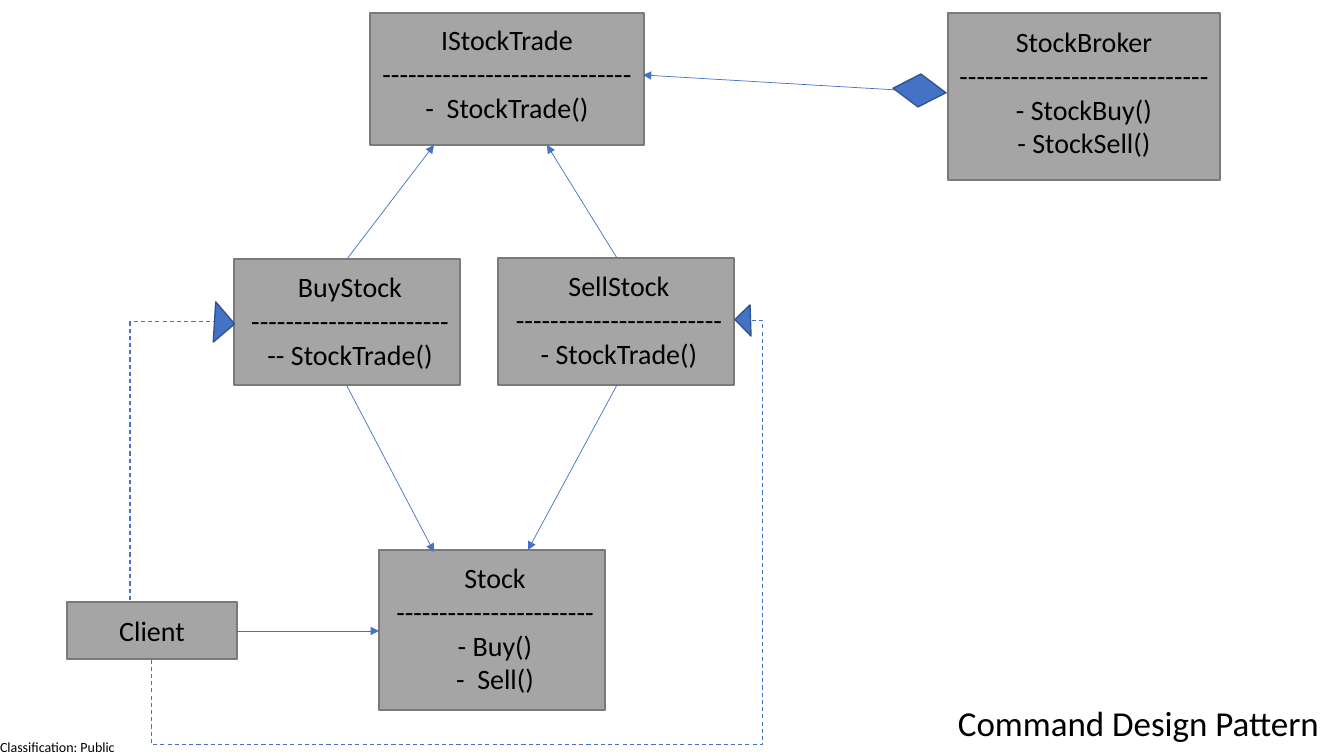
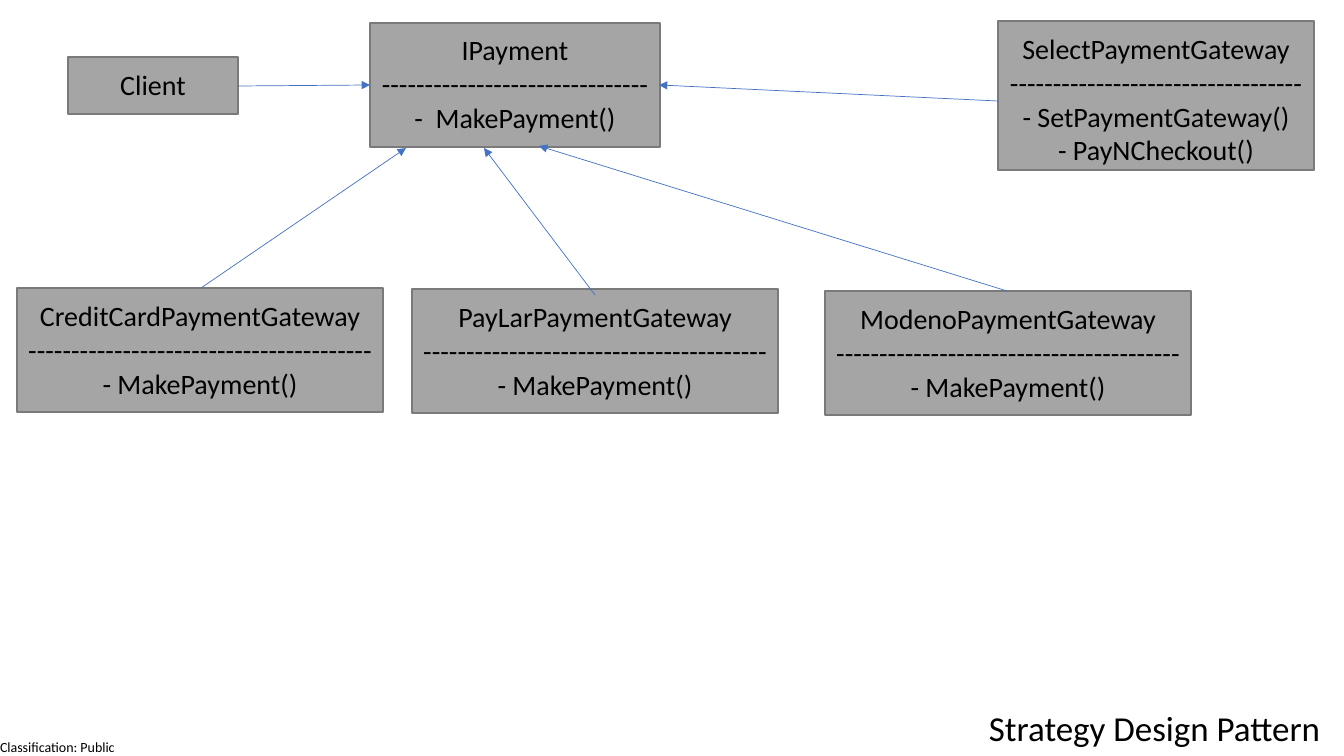
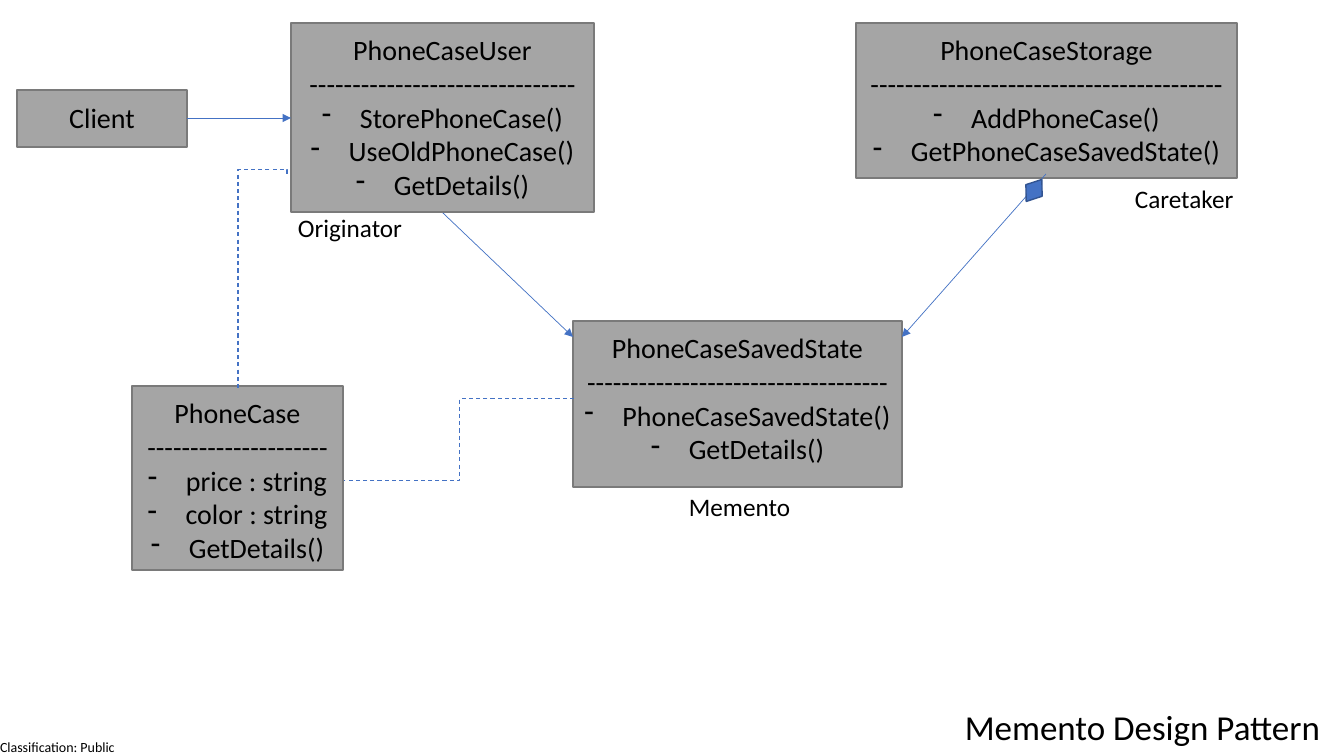
from pptx import Presentation
from pptx.dml.color import RGBColor
from pptx.enum.dml import MSO_LINE
from pptx.enum.shapes import MSO_CONNECTOR as Connector, MSO_SHAPE as Shape
from pptx.enum.text import PP_ALIGN as Align
from pptx.oxml.ns import qn
from pptx.util import Pt
from lxml.etree import SubElement

EMU_PER_PIXEL = 914400 / 100.8
SLIDE_WIDTH, SLIDE_HEIGHT = 1344, 756
FONT = "Calibri"
COLORS = {
    "text": "000000",
    "box": "A5A5A5",
    "box_line": "7A7A7A",
    "accent": "4472C4",
    "accent_line": "325491",
}
LINE_HEIGHT, TEXT_PADDING = 34, 10
BULLET_INDENT = 38


def px(pixels):
    """Turn pixels into EMU."""
    return round(pixels * EMU_PER_PIXEL)


def color(name):
    """Look up a named colour."""
    return RGBColor.from_string(COLORS[name])


def add_bullet(paragraph):
    """Give a paragraph a hanging dash bullet."""
    properties = paragraph._p.get_or_add_pPr()
    properties.set("marL", str(px(BULLET_INDENT)))
    properties.set("indent", str(-px(BULLET_INDENT)))
    SubElement(properties, qn("a:buChar")).set("char", "-")


def add_text(slide, frame, lines, size=20, align=Align.LEFT, inset=None, bullets_from=None):
    """Add a text box with one paragraph per line."""
    text_frame = slide.shapes.add_textbox(*map(px, frame)).text_frame
    text_frame.word_wrap = True
    if inset is not None:
        text_frame.margin_left = text_frame.margin_right = px(inset)
        text_frame.margin_top = text_frame.margin_bottom = px(inset)
    for index, line in enumerate(lines):
        paragraph = text_frame.add_paragraph() if index else text_frame.paragraphs[0]
        paragraph.alignment = align
        if bullets_from is not None and index >= bullets_from:
            add_bullet(paragraph)
        run = paragraph.add_run()
        run.text = line
        run.font.name = FONT
        run.font.size = Pt(size)
        run.font.color.rgb = color("text")


def add_figure(slide, kind, frame, fill="accent", line="accent_line", rotation=0):
    """Add a filled preset shape."""
    shape = slide.shapes.add_shape(kind, *map(px, frame))
    shape.shadow.inherit = False
    shape.fill.solid()
    shape.fill.fore_color.rgb = color(fill)
    shape.line.color.rgb = color(line)
    shape.line.width = Pt(1)
    shape.rotation = rotation


def add_box(slide, frame, name, dashes=0, members=(), bullets=False, shift=(0, 6)):
    """Add a class box: name, dashed rule and members."""
    left, top, width, height = frame
    add_figure(slide, Shape.RECTANGLE, frame, fill="box", line="box_line")
    lines = [name, "-" * dashes, *members] if dashes else [name]
    text_height = len(lines) * LINE_HEIGHT + TEXT_PADDING
    add_text(slide, (left + shift[0], top + shift[1], width, text_height), lines,
             align=Align.CENTER, bullets_from=2 if bullets else None)


def add_line(slide, kind, start, end, width):
    """Add a connector without shadow."""
    connector = slide.shapes.add_connector(kind, *map(px, start + end))
    connector.line.color.rgb = color("accent")
    connector.line.width = Pt(width)
    SubElement(connector._element.spPr, qn("a:effectLst"))
    return connector


def add_arrow(slide, start, end):
    """Add a straight arrow pointing at its end."""
    connector = add_line(slide, Connector.STRAIGHT, start, end, 0.5)
    SubElement(connector.line._get_or_add_ln(), qn("a:tailEnd")).set("type", "triangle")


def add_elbow(slide, frame, preset, rotation, flips="", adjustments=()):
    """Add a dashed bent connector from its unrotated frame."""
    left, top, width, height = frame
    connector = add_line(slide, Connector.ELBOW, (left, top),
                         (left + width, top + height), 0.75)
    connector.line.dash_style = MSO_LINE.DASH
    properties = connector._element.spPr
    transform = properties.find(qn("a:xfrm"))
    transform.set("rot", str(rotation * 60000))
    for axis in flips:
        transform.set("flip" + axis, "1")
    geometry = properties.find(qn("a:prstGeom"))
    geometry.set("prst", preset)
    guides = geometry.find(qn("a:avLst"))
    for number, value in enumerate(adjustments, 1):
        guide = SubElement(guides, qn("a:gd"))
        guide.set("name", f"adj{number}")
        guide.set("fmla", f"val {value}")


def add_pattern_slide(presentation, title, left, top):
    """Add a blank slide with the classification footer and pattern title."""
    slide = presentation.slides.add_slide(presentation.slide_layouts[6])
    add_text(slide, (0, 739, 118, 17), ["Classification: Public"], size=10, inset=0)
    add_text(slide, (left, top, SLIDE_WIDTH - left, 52), [title], size=25)
    return slide


def build_command(presentation):
    """Build the command pattern slide."""
    slide = add_pattern_slide(presentation, "Command Design Pattern", 948, 697)
    add_box(slide, (370, 13, 274, 132), "IStockTrade", 29, ["-  StockTrade()"], shift=(0, 5))
    add_box(slide, (948, 13, 272, 167), "StockBroker", 29,
            ["- StockBuy()", "- StockSell()"], shift=(0, 7))
    add_box(slide, (234, 259, 226, 126), "BuyStock", 23, ["-- StockTrade()"], shift=(3, 6))
    add_box(slide, (498, 258, 236, 127), "SellStock", 24, ["- StockTrade()"], shift=(3, 6))
    add_box(slide, (379, 550, 226, 160), "Stock", 23, ["- Buy()", "-  Sell()"], shift=(3, 6))
    add_box(slide, (67, 602, 170, 57), "Client", shift=(0, 7))
    for start, end in [
        ((237, 631), (379, 631)),
        ((617, 258), (547, 145)),
        ((347, 259), (434, 145)),
        ((347, 386), (434, 552)),
        ((617, 385), (528, 550)),
        ((948, 93), (643, 75)),
    ]:
        add_arrow(slide, start, end)
    add_figure(slide, Shape.DIAMOND, (893, 74, 53, 33), rotation=4.9)
    add_elbow(slide, (43, 409, 278, 104), "bentConnector2", 90, "HV")
    add_elbow(slide, (275, 197, 339, 586), "bentConnector4", 90, "HV", (-25100, 104300))
    add_figure(slide, Shape.RIGHT_TRIANGLE, (200, 308, 29, 28), rotation=229.5)
    add_figure(slide, Shape.RIGHT_TRIANGLE, (739, 310, 23, 21), rotation=45.9)


def build_strategy(presentation):
    """Build the strategy pattern slide."""
    slide = add_pattern_slide(presentation, "Strategy Design Pattern", 979, 702)
    add_box(slide, (370, 23, 290, 124), "IPayment", 31, ["-  MakePayment()"], shift=(0, 5))
    add_box(slide, (68, 57, 170, 57), "Client")
    add_box(slide, (998, 21, 316, 149), "SelectPaymentGateway", 34,
            ["- SetPaymentGateway()", "- PayNCheckout()"])
    for left, top, provider in [(17, 288, "CreditCard"), (412, 289, "PayLar"),
                                (825, 291, "Modeno")]:
        add_box(slide, (left, top, 366, 124), provider + "PaymentGateway", 40,
                ["- MakePayment()"])
    for start, end in [
        ((201, 288), (406, 148)),
        ((238, 86), (370, 85)),
        ((595, 295), (484, 148)),
        ((1007, 291), (539, 146)),
        ((998, 101), (659, 85)),
    ]:
        add_arrow(slide, start, end)


def build_memento(presentation):
    """Build the memento pattern slide."""
    slide = add_pattern_slide(presentation, "Memento Design Pattern", 955, 701)
    add_box(slide, (17, 90, 170, 57), "Client")
    for frame, name, dashes, members in [
        ((291, 23, 303, 189), "PhoneCaseUser", 31,
         ["StorePhoneCase()", "UseOldPhoneCase()", "GetDetails()"]),
        ((856, 23, 381, 155), "PhoneCaseStorage", 41,
         ["AddPhoneCase()", "GetPhoneCaseSavedState()"]),
        ((573, 321, 329, 166), "PhoneCaseSavedState", 35,
         ["PhoneCaseSavedState()", "GetDetails()"]),
        ((132, 386, 211, 184), "PhoneCase", 21,
         ["price : string", "color : string", "GetDetails()"]),
    ]:
        add_box(slide, frame, name, dashes, members, bullets=True, shift=(0, 5))
    for start, end in [
        ((187, 118), (291, 118)),
        ((443, 213), (573, 337)),
        ((1046, 174), (902, 337)),
    ]:
        add_arrow(slide, start, end)
    for left, top, role in [(288, 207, "Originator"), (1125, 178, "Caretaker"),
                            (679, 486, "Memento")]:
        add_text(slide, (left, top, 132, 40), [role], size=18)
    add_figure(slide, Shape.DIAMOND, (1024, 177, 20, 27), rotation=35.5)
    add_elbow(slide, (154, 258, 217, 49), "bentConnector3", 90, adjustments=(-1900,))
    add_elbow(slide, (344, 399, 230, 82), "bentConnector3", 180, "V", (50000,))


def main():
    """Build the slides and save the presentation."""
    presentation = Presentation()
    presentation.slide_width = px(SLIDE_WIDTH)
    presentation.slide_height = px(SLIDE_HEIGHT)
    build_command(presentation)
    build_strategy(presentation)
    build_memento(presentation)
    presentation.save("out.pptx")


main()
